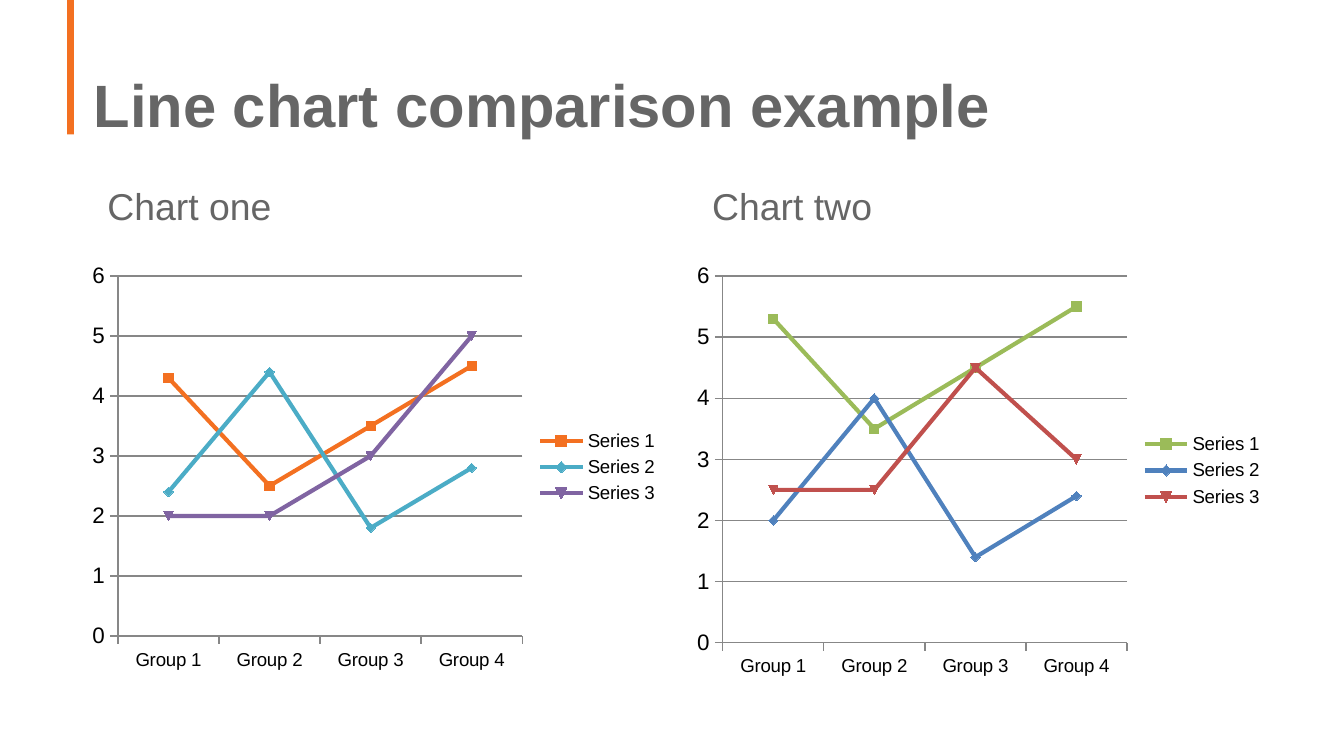
from dataclasses import dataclass

from pptx import Presentation
from pptx import util as u
from pptx.chart.data import CategoryChartData
from pptx.dml.color import RGBColor
from pptx.enum import chart as charts, shapes, text


@dataclass(frozen=True)
class Theme:
    font: str = "Arial"
    accent: str = "F37021"
    heading: str = "666666"
    label: str = "000000"
    axis: str = "878787"
    title_size: int = 32
    subtitle_size: int = 20
    value_size: int = 12
    category_size: int = 10
    chart_size: int = 18


@dataclass(frozen=True)
class Series:
    name: str
    values: tuple[float, ...]
    color: str


@dataclass(frozen=True)
class Panel:
    heading: str
    placeholder: int
    height: float
    series: tuple[Series, ...]


THEME = Theme()
GROUPS = [f"Group {number}" for number in range(1, 5)]
LEFT, COLUMN, GAP = 1.52, 11.18, 0.25
PANELS = (
    Panel("Chart one", 1, 8.0, (
        Series("Series 1", (4.3, 2.5, 3.5, 4.5), THEME.accent),
        Series("Series 2", (2.4, 4.4, 1.8, 2.8), "4BACC6"),
        Series("Series 3", (2, 2, 3, 5), "8064A2"),
    )),
    Panel("Chart two", 3, 8.13, (
        Series("Series 1", (5.3, 3.5, 4.5, 5.5), "9BBB59"),
        Series("Series 2", (2, 4, 1.4, 2.4), "4F81BD"),
        Series("Series 3", (2.5, 2.5, 4.5, 3), "C0504D"),
    )),
)


def color(value: str) -> RGBColor:
    return RGBColor.from_string(value)


def style_font(font, size: int, value: str, bold: bool = False) -> None:
    font.name = THEME.font
    font.size = u.Pt(size)
    font.bold = bold
    font.color.rgb = color(value)


def write_heading(shape, box: tuple[float, ...], words: str, size: int,
                  anchor, inset: float, before: int = 0, bold: bool = False) -> None:
    shape.left, shape.top, shape.width, shape.height = map(u.Cm, box)
    frame = shape.text_frame
    frame.word_wrap = True
    frame.auto_size = text.MSO_AUTO_SIZE.NONE
    frame.vertical_anchor = anchor
    frame.margin_left, frame.margin_right = u.Cm(inset), u.Cm(0.25)
    frame.margin_top = frame.margin_bottom = u.Cm(0.13)
    paragraph = frame.paragraphs[0]
    paragraph.alignment = text.PP_ALIGN.LEFT
    paragraph.line_spacing = 0.9
    paragraph.space_before = u.Pt(before)
    run = paragraph.add_run()
    run.text = words
    style_font(run.font, size, THEME.heading, bold)


def style_axis(axis, size: int) -> None:
    style_font(axis.tick_labels.font, size, THEME.label)
    axis.major_tick_mark = charts.XL_TICK_MARK.OUTSIDE
    axis.minor_tick_mark = charts.XL_TICK_MARK.NONE
    axis.format.line.color.rgb = color(THEME.axis)
    axis.format.line.width = u.Pt(0.75)


def draw_chart(slide, panel: Panel, left: float) -> None:
    data = CategoryChartData()
    data.categories = GROUPS
    for series in panel.series:
        data.add_series(series.name, series.values)
    chart = slide.shapes.add_chart(
        charts.XL_CHART_TYPE.LINE_MARKERS, u.Cm(left), u.Cm(4.83),
        u.Cm(COLUMN), u.Cm(panel.height), data).chart
    style_font(chart.font, THEME.chart_size, THEME.label)
    chart.has_title = False
    chart.has_legend = True
    chart.legend.position = charts.XL_LEGEND_POSITION.RIGHT
    chart.legend.include_in_layout = False
    style_font(chart.legend.font, THEME.category_size, THEME.label)
    style_axis(chart.category_axis, THEME.category_size)
    values = chart.value_axis
    style_axis(values, THEME.value_size)
    values.minimum_scale, values.maximum_scale, values.major_unit = 0, 6, 1
    values.has_major_gridlines = True
    values.major_gridlines.format.line.color.rgb = color(THEME.axis)
    values.major_gridlines.format.line.width = u.Pt(0.75)
    plot = chart.plots[0]
    plot.vary_by_categories = False
    for line, series in zip(plot.series, panel.series):
        line.smooth = False
        line.format.line.color.rgb = color(series.color)
        line.format.line.width = u.Pt(2.25)
        line.marker.style = charts.XL_MARKER_STYLE.AUTOMATIC
        line.marker.size = 5
        line.marker.format.fill.solid()
        line.marker.format.fill.fore_color.rgb = color(series.color)
        line.marker.format.line.color.rgb = color(series.color)


def draw_accent_bar(slide) -> None:
    bar = slide.shapes.add_shape(
        shapes.MSO_SHAPE.RECTANGLE, u.Cm(1.27), u.Cm(0), u.Cm(0.13), u.Cm(2.54))
    bar.shadow.inherit = False
    bar.fill.solid()
    bar.fill.fore_color.rgb = color(THEME.accent)
    bar.line.fill.background()


def main() -> None:
    presentation = Presentation()
    presentation.slide_width, presentation.slide_height = u.Cm(25.4), u.Cm(14.29)
    slide = presentation.slides.add_slide(
        presentation.slide_layouts.get_by_name("Comparison"))
    draw_accent_bar(slide)
    write_heading(slide.shapes.title, (LEFT, 0.25, 2 * COLUMN + GAP, 2.54),
                  "Line chart comparison example", THEME.title_size,
                  text.MSO_ANCHOR.BOTTOM, 0.25, bold=True)
    placeholders = {shape.placeholder_format.idx: shape
                    for shape in slide.placeholders}
    for column, panel in enumerate(PANELS):
        left = LEFT + column * (COLUMN + GAP)
        write_heading(placeholders[panel.placeholder], (left, 3.3, COLUMN, 1.27),
                      panel.heading, THEME.subtitle_size,
                      text.MSO_ANCHOR.MIDDLE, 0.51, before=12)
        draw_chart(slide, panel, left)
    for shape in list(slide.placeholders):
        if not shape.text_frame.text:
            shape.element.getparent().remove(shape.element)
    presentation.save("out.pptx")


if __name__ == "__main__":
    main()
